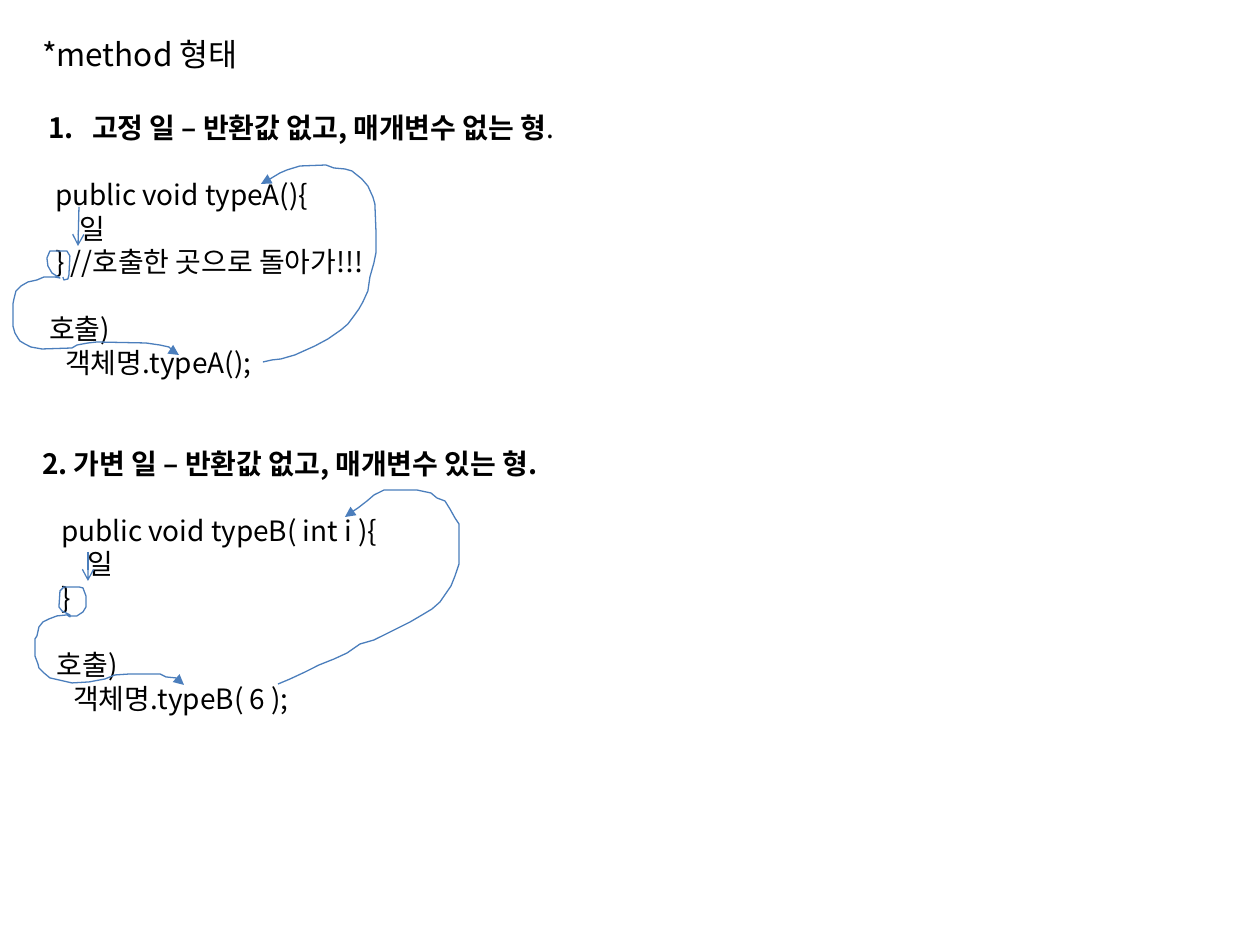
import pptx
import pptx.util
import pptx.dml.color
import pptx.enum.shapes
import pptx.enum.text
import pptx.oxml
import pptx.oxml.ns

PX = 914400 / 126
FONT = "Noto Sans CJK KR"
HEX = {"text": "000000", "ink": "4B7EBC"}
LINE = 19.2  # line pitch in points

deck = pptx.Presentation()
deck.slide_width = round(1260 * PX)
deck.slide_height = round(945 * PX)
slide = deck.slides.add_slide(deck.slide_layouts[6])

# Text box
box = slide.shapes.add_textbox(round(42 * PX), round(35 * PX),
                               round(572 * PX), round(690 * PX))
frame = box.text_frame
frame.word_wrap = False
frame.auto_size = pptx.enum.text.MSO_AUTO_SIZE.NONE
frame.margin_left = frame.margin_right = 0
frame.margin_top = frame.margin_bottom = 0


def write(text, left=0, hang=0, gap=0, size=16, bold=False, tail=""):
    """Add a line: left and hang in px, gap in blank lines above."""
    first = frame.paragraphs[0]
    para = first if not first.runs else frame.add_paragraph()
    props = para._p.get_or_add_pPr()
    props.set("marL", str(round((left + hang) * PX)))
    props.set("indent", str(round(-hang * PX)))
    para.line_spacing = pptx.util.Pt(LINE * size / 16)
    if gap:
        para.space_before = pptx.util.Pt(gap * LINE)
    for part, heavy in ((text, bold), (tail, False)):
        if not part:
            continue
        run = para.add_run()
        run.text = part
        run.font.size = pptx.util.Pt(size)
        run.font.bold = heavy
        run.font.name = FONT
        run.font.color.rgb = pptx.dml.color.RGBColor.from_string(HEX["text"])
        east = pptx.oxml.parse_xml(
            f'<a:ea {pptx.oxml.ns.nsdecls("a")} typeface="{FONT}"/>')
        run.font._element.find(pptx.oxml.ns.qn("a:latin")).addnext(east)


write("*method 형태", size=18)

# Fixed work: no return value, no parameter
write("1.\t고정 일 – 반환값 없고, 매개변수 없는 형", left=6, hang=44,
      gap=1.12, bold=True, tail=".")
write("public void typeA(){", left=13, gap=1)
write("일", left=37)
write("} //호출한 곳으로 돌아가!!!", left=13)
write("호출)", left=7, gap=1)
write("객체명.typeA();", left=23)

# Variable work: no return value, one parameter
write("2. 가변 일 – 반환값 없고, 매개변수 있는 형.", gap=2, bold=True)
write("public void typeB( int i ){", left=19, gap=1)
write("일", left=45)
write("}", left=19)
write("호출)", left=15, gap=1)
write("객체명.typeB( 6 );", left=31)


def ink(shape, head):
    """Give a stroke its colour, width and arrowhead."""
    shape.line.color.rgb = pptx.dml.color.RGBColor.from_string(HEX["ink"])
    shape.line.width = pptx.util.Pt(0.75)
    shape.line._get_or_add_ln().append(pptx.oxml.parse_xml(
        f'<a:tailEnd {pptx.oxml.ns.nsdecls("a")} type="{head}"/>'))
    shape._element.spPr.append(pptx.oxml.parse_xml(
        f'<a:effectLst {pptx.oxml.ns.nsdecls("a")}/>'))


# Hand-drawn strokes: call to method, closing brace back to call
call_a = [
    (263, 362), (272, 360), (281, 359), (295, 355), (306, 350), (315, 346),
    (328, 339), (341, 330), (348, 324), (354, 316), (359, 309), (363, 302),
    (368, 291), (370, 277), (374, 263), (376, 253), (376, 230), (375, 204),
    (373, 197), (368, 186), (362, 179), (352, 171), (345, 169), (334, 168),
    (326, 165), (300, 166), (287, 170), (280, 173), (270, 179), (261, 184)]
back_a = [
    (63, 277), (64, 280), (68, 279), (69, 275), (70, 256), (67, 251),
    (50, 251), (47, 258), (48, 266), (52, 273), (60, 278), (55, 277),
    (44, 277), (37, 280), (28, 282), (21, 286), (16, 291), (14, 299),
    (13, 304), (13, 326), (15, 333), (18, 338), (20, 341), (25, 344),
    (31, 347), (42, 349), (72, 348), (77, 345), (88, 343), (97, 342),
    (146, 343), (160, 345), (169, 347), (174, 352), (176, 357), (179, 355)]
call_b = [
    (278, 684), (290, 679), (305, 672), (319, 665), (334, 659), (347, 653),
    (360, 644), (374, 640), (392, 631), (410, 622), (422, 615), (432, 609),
    (440, 602), (451, 586), (455, 576), (459, 564), (459, 524), (455, 518),
    (450, 509), (445, 501), (437, 498), (431, 493), (417, 490), (384, 490),
    (374, 495), (367, 501), (358, 508), (352, 512), (345, 517)]
back_b = [
    (69, 616), (77, 616), (83, 612), (86, 607), (86, 596), (83, 588),
    (79, 587), (64, 587), (60, 591), (59, 607), (62, 611), (70, 615),
    (70, 617), (67, 615), (57, 616), (49, 619), (43, 622), (39, 627),
    (37, 636), (35, 639), (35, 656), (38, 664), (39, 668), (44, 673),
    (50, 678), (59, 680), (72, 683), (89, 682), (105, 679), (115, 675),
    (130, 674), (160, 674), (166, 677), (176, 678), (181, 683), (184, 685)]
for dots in (call_a, back_a, call_b, back_b):
    pen = slide.shapes.build_freeform(*dots[0], scale=PX)
    pen.add_line_segments(dots[1:], close=False)
    curve = pen.convert_to_shape()
    curve.fill.background()
    ink(curve, "triangle")

# Short arrows into the method bodies
for x, top, end, low in ((79, 207, 78, 246), (88, 552, 88, 581)):
    arrow = slide.shapes.add_connector(
        pptx.enum.shapes.MSO_CONNECTOR.STRAIGHT,
        round(x * PX), round(top * PX), round(end * PX), round(low * PX))
    ink(arrow, "arrow")

deck.save("out.pptx")
